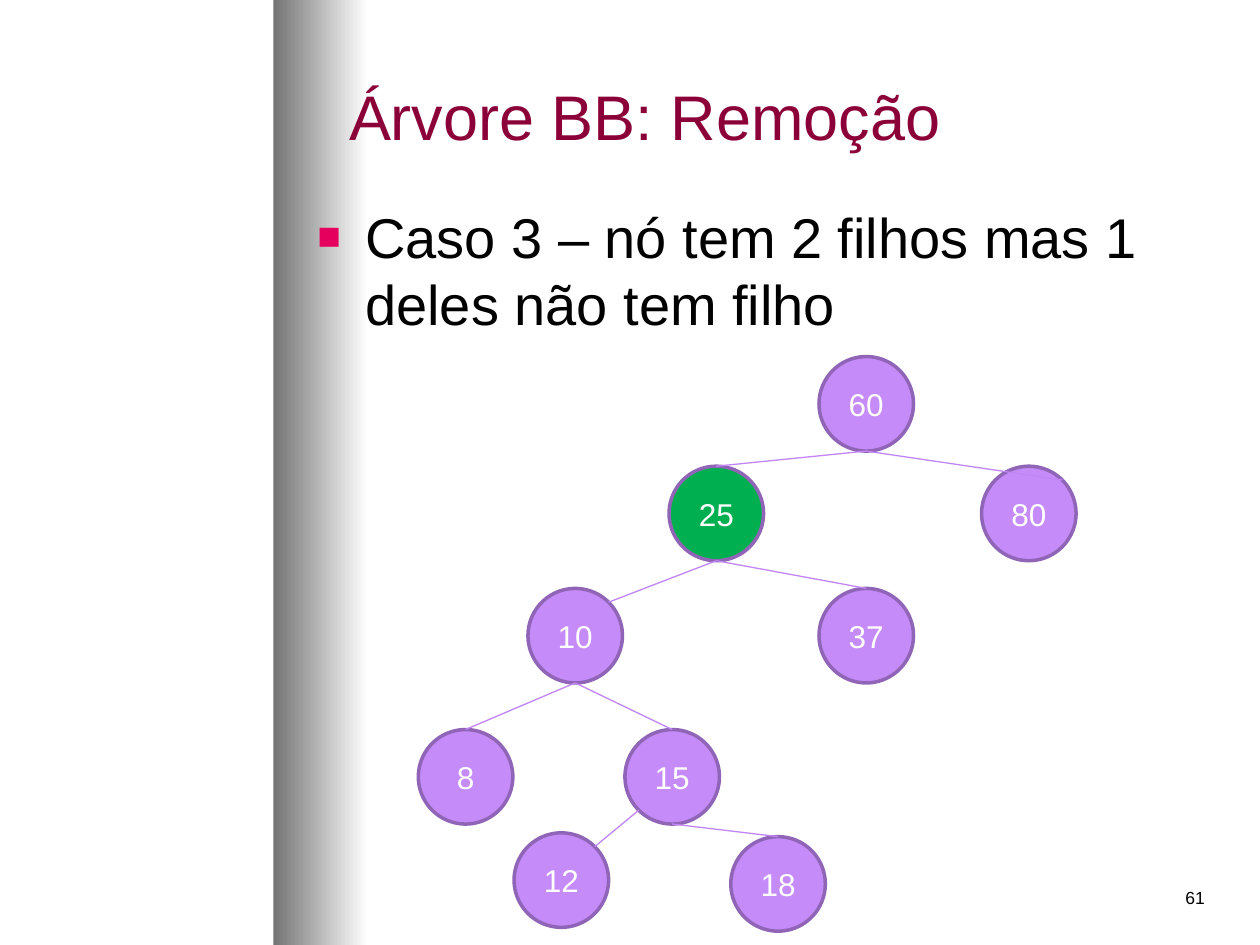
"""Build the slide on removal from a binary search tree, case 3."""
from math import cos, radians, sin

from lxml.etree import SubElement
from pptx import Presentation
from pptx.dml.color import RGBColor as RGB
from pptx.enum.shapes import MSO_CONNECTOR as CONN, MSO_SHAPE as SHAPE
from pptx.enum.text import MSO_ANCHOR as ANCHOR, PP_ALIGN as ALIGN
from pptx.oxml.ns import qn
from pptx.util import Inches, Pt

TITLE = "Árvore BB: Remoção"
BODY = "Caso 3 – nó tem 2 filhos mas 1 deles não tem filho"
PAGE = "61"
REMOVED = "25"
DIAMETER = 0.75

NODES = {
    "60": (6.5, 2.83),
    "80": (7.79, 3.7),
    "25": (5.31, 3.7),
    "37": (6.5, 4.67),
    "10": (4.19, 4.67),
    "15": (4.96, 5.79),
    "12": (4.08, 6.61),
    "18": (5.8, 6.64),
    "8": (3.32, 5.79),
}
EDGES = [
    ("60", "bottom", "25", "top"),
    ("60", "bottom", "80", "top right"),
    ("25", "bottom", "37", "top"),
    ("25", "bottom", "10", "top right"),
    ("10", "bottom", "15", "top"),
    ("15", "bottom left", "12", "top right"),
    ("15", "bottom", "18", "top"),
    ("10", "bottom", "8", "top"),
]
ANGLES = {"top": -90, "top right": -45, "bottom": 90, "bottom left": 135}

THEME = {
    "font": "Arial",
    "title": (36, "8C0039"),
    "body": (32, "000000"),
    "page": (10, "000000"),
    "label": (18, "FFFFFF"),
    "bullet": "E4005C",
    "band": ("747474", "FFFFFF"),
    "node": "C58BF9",
    "removed": "00B050",
    "outline": "9065B7",
    "edge": "C185F6",
}


def color(name):
    return RGB.from_string(THEME[name])


def write(tf, text, style, align=ALIGN.LEFT, anchor=ANCHOR.TOP):
    tf.word_wrap = True
    tf.vertical_anchor = anchor
    p = tf.paragraphs[0]
    p.alignment = align
    r = p.add_run()
    r.text = text
    size, rgb = THEME[style]
    r.font.name = THEME["font"]
    r.font.size = Pt(size)
    r.font.color.rgb = RGB.from_string(rgb)
    return p


def add_bullet(p):
    p.space_before = Pt(8)
    pPr = p._p.get_or_add_pPr()
    pPr.set("marL", str(Inches(0.38)))
    pPr.set("indent", str(Inches(-0.38)))
    clr = SubElement(pPr, qn("a:buClr"))
    SubElement(clr, qn("a:srgbClr"), val=THEME["bullet"])
    SubElement(pPr, qn("a:buSzPct"), val="70000")
    SubElement(pPr, qn("a:buFont"), typeface=THEME["font"])
    SubElement(pPr, qn("a:buChar"), char="■")


def add_band(s):
    sp = s.shapes.add_shape(SHAPE.RECTANGLE, Inches(2.17), 0, Inches(0.75), Inches(7.5))
    sp.shadow.inherit = False
    sp.line.fill.background()
    sp.fill.gradient()
    sp.fill.gradient_angle = 0
    for stop, rgb in zip(sp.fill.gradient_stops, THEME["band"]):
        stop.color.rgb = RGB.from_string(rgb)
    s.shapes.title.element.addprevious(sp.element)


def add_node(s, key):
    x, y = NODES[key]
    sp = s.shapes.add_shape(SHAPE.OVAL, *map(Inches, (x, y, DIAMETER, DIAMETER)))
    sp.shadow.inherit = False
    sp.fill.solid()
    sp.fill.fore_color.rgb = color("removed" if key == REMOVED else "node")
    sp.line.color.rgb = color("outline")
    sp.line.width = Pt(2)
    write(sp.text_frame, key, "label", ALIGN.CENTER, ANCHOR.MIDDLE)


def rim_point(key, side):
    x, y = NODES[key]
    radius, angle = DIAMETER / 2, radians(ANGLES[side])
    return Inches(x + radius * (1 + cos(angle))), Inches(y + radius * (1 + sin(angle)))


def add_edge(s, parent, start, child, end):
    line = s.shapes.add_connector(
        CONN.STRAIGHT, *rim_point(parent, start), *rim_point(child, end))
    line.line.color.rgb = color("edge")
    line.line.width = Pt(0.75)
    SubElement(line.element.spPr, qn("a:effectLst"))


def main():
    prs = Presentation()
    prs.slide_width, prs.slide_height = Inches(10), Inches(7.5)
    s = prs.slides.add_slide(prs.slide_layouts[5])

    title = s.shapes.title
    title.left, title.top, title.width, title.height = map(Inches, (2.67, 0.25, 7, 1.33))
    write(title.text_frame, TITLE, "title", anchor=ANCHOR.MIDDLE)
    add_band(s)

    body = s.shapes.add_textbox(*map(Inches, (2.42, 1.56, 7.19, 4.5)))
    add_bullet(write(body.text_frame, BODY, "body"))

    page = s.shapes.add_textbox(*map(Inches, (7.58, 6.83, 2.08, 0.5)))
    page.text_frame.margin_top = Inches(0.21)
    write(page.text_frame, PAGE, "page", ALIGN.RIGHT)

    for key in NODES:
        add_node(s, key)
    for edge in EDGES:
        add_edge(s, *edge)
    prs.save("out.pptx")


if __name__ == "__main__":
    main()
